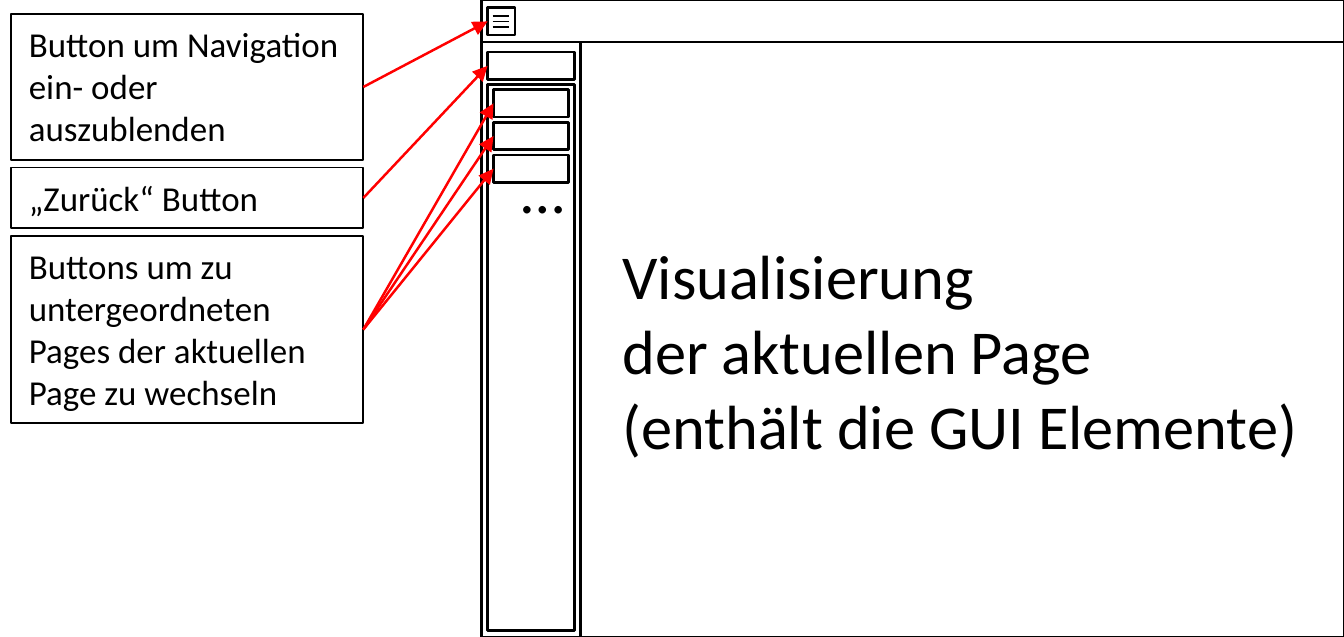
from dataclasses import dataclass

from lxml.etree import SubElement
from pptx import Presentation
from pptx.dml.color import RGBColor
from pptx.enum.shapes import MSO_CONNECTOR, MSO_SHAPE
from pptx.enum.text import MSO_ANCHOR, PP_ALIGN
from pptx.oxml.ns import qn
from pptx.util import Pt


@dataclass(frozen=True)
class Theme:
    """Colours, font, type sizes and line widths of the slide."""
    ink: RGBColor = RGBColor(0, 0, 0)
    paper: RGBColor = RGBColor(255, 255, 255)
    pointer: RGBColor = RGBColor(255, 0, 0)
    font: str = "Calibri"
    label_size: float = 14
    page_size: float = 25
    thin: float = 0.75
    regular: float = 1


theme = Theme()
WIDTH, HEIGHT = 538.58, 255.12

deck = Presentation()
deck.slide_width, deck.slide_height = Pt(WIDTH), Pt(HEIGHT)
slide = deck.slides.add_slide(deck.slide_layouts[6])


def draw_box(left, top, width, height, weight=theme.regular, fill=None):
    """Add an outlined rectangle and return it."""
    box = slide.shapes.add_shape(
        MSO_SHAPE.RECTANGLE, Pt(left), Pt(top), Pt(width), Pt(height))
    box.shadow.inherit = False
    if fill is None:
        box.fill.background()
    else:
        box.fill.solid()
        box.fill.fore_color.rgb = fill
    box.line.color.rgb = theme.ink
    box.line.width = Pt(weight)
    return box


def draw_line(start, end, weight=theme.regular, arrow=False):
    """Add a straight line, or a red arrow pointing at its end."""
    line = slide.shapes.add_connector(
        MSO_CONNECTOR.STRAIGHT, *[Pt(value) for value in (*start, *end)])
    line.line.color.rgb = theme.pointer if arrow else theme.ink
    line.line.width = Pt(weight)
    properties = line._element.spPr
    if arrow:
        SubElement(properties.find(qn("a:ln")), qn("a:tailEnd"), type="triangle")
    SubElement(properties, qn("a:effectLst"))


# Application window with header and sidebar
window_left, header_bottom, sidebar_right = 193, 16.8, 232.7
draw_box(window_left, 0, WIDTH - window_left, HEIGHT)
page_text = slide.shapes.add_textbox(Pt(242.4), Pt(91.5), Pt(292.3), Pt(98.5))
draw_line((window_left, header_bottom), (WIDTH, header_bottom))
draw_line((sidebar_right, header_bottom), (sidebar_right, HEIGHT))

# Menu button
button_left, button_height = 195.4, 11
menu_top = 3.1
menu_middle = menu_top + button_height / 2
draw_box(button_left, menu_top, button_height, button_height)
for offset in (-2.1, 0, 2.1):
    draw_line((197.4, menu_middle + offset), (203.9, menu_middle + offset), theme.thin)

# Sidebar buttons
back_top, sidebar_width = 20.9, 34.8
draw_box(button_left, back_top, sidebar_width, button_height)
draw_box(button_left, 33.8, sidebar_width, 218.7, fill=theme.paper)
page_left = 197.8
page_tops = [35.9 + 13.1 * index for index in range(3)]
for page_top in page_tops:
    draw_box(page_left, page_top, 30, button_height)
more_pages = slide.shapes.add_textbox(Pt(202), Pt(57.1), Pt(32), Pt(37.7))

texts = [
    (page_text, ["Visualisierung", "der aktuellen Page", "(enthält die GUI Elemente)"],
     theme.page_size, False),
    (more_pages, ["…"], theme.page_size, False),
]

# Labels, each with arrows to the buttons it explains
labels = [
    ("Button um Navigation ein- oder auszublenden", 58.5, button_left, [menu_top]),
    ("„Zurück“ Button", 24.4, button_left, [back_top]),
    ("Buttons um zu untergeordneten Pages der aktuellen Page zu wechseln", 75,
     page_left, page_tops),
]
label_left, label_top, label_width, label_gap = 4.5, 5.6, 141.1, 3
for wording, label_height, target_left, target_tops in labels:
    label = draw_box(label_left, label_top, label_width, label_height, theme.thin)
    texts.append((label, [wording], theme.label_size, True))
    for target_top in target_tops:
        draw_line((label_left + label_width, label_top + label_height / 2),
                  (target_left, target_top + button_height / 2), arrow=True)
    label_top += label_height + label_gap

for holder, paragraphs, size, wraps in texts:
    frame = holder.text_frame
    frame.word_wrap = wraps
    frame.vertical_anchor = MSO_ANCHOR.TOP
    for index, wording in enumerate(paragraphs):
        paragraph = frame.add_paragraph() if index else frame.paragraphs[0]
        paragraph.alignment = PP_ALIGN.LEFT
        run = paragraph.add_run()
        run.text = wording
        run.font.name = theme.font
        run.font.size = Pt(size)
        run.font.color.rgb = theme.ink

deck.save("out.pptx")
